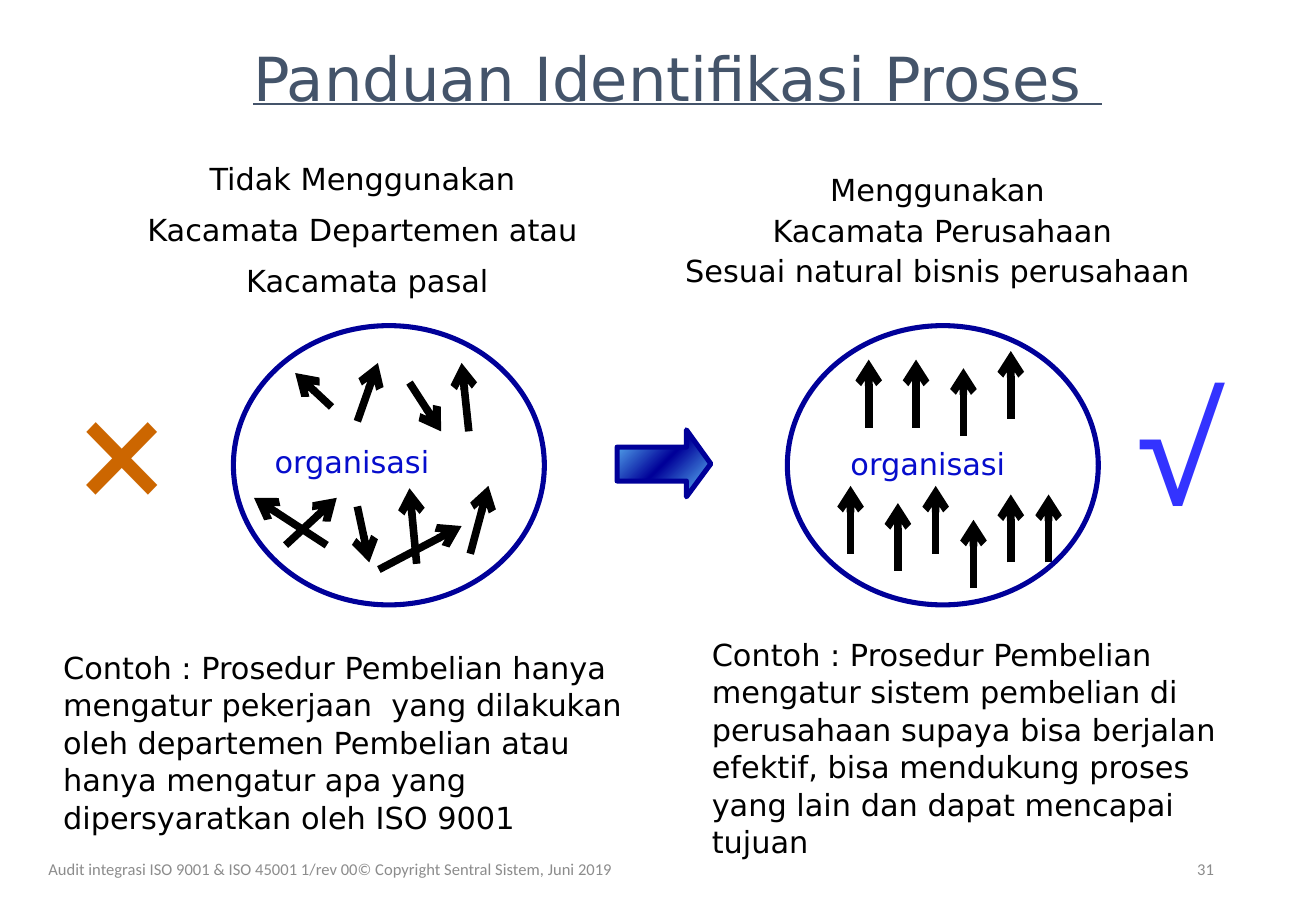
from copy import deepcopy

from lxml.etree import SubElement
from pptx import Presentation
from pptx.dml.color import RGBColor
from pptx.enum.shapes import MSO_CONNECTOR as Connector, MSO_SHAPE as Shape
from pptx.enum.text import MSO_ANCHOR as Anchor, MSO_AUTO_SIZE as AutoSize, PP_ALIGN as Align
from pptx.oxml.ns import qn
from pptx.util import Cm, Pt

BLACK, WHITE, NAVY, GREY = "000000", "FFFFFF", "000099", "8C8C8C"
BODY_FONT = "DejaVu Sans"

# Start x, start y, tip x, tip y in cm
SCATTERED = [
    (8.56, 8.0, 9.22, 9.02), (9.8, 9.02, 9.65, 7.59),
    (6.93, 8.51, 6.17, 7.8), (7.47, 8.81, 7.9, 7.59),
    (6.83, 11.4, 5.31, 10.41), (5.97, 11.4, 7.04, 10.41),
    (7.47, 10.59, 7.72, 11.76), (7.92, 11.91, 9.65, 11.0),
    (8.71, 11.79, 8.56, 10.21), (9.83, 11.58, 10.21, 10.16),
]

# Tip x, tip y in cm; all of these point straight up
ALIGNED_TIPS = [
    (18.16, 7.52), (19.15, 7.52), (20.14, 7.7), (21.13, 7.34),
    (17.78, 10.16), (18.77, 10.52), (19.56, 10.16),
    (20.35, 10.87), (21.13, 10.34), (21.92, 10.34),
]
ALIGNED_LENGTH = 1.42


def rgb(color):
    return RGBColor.from_string(color)


def format_with(target, values):
    for name, value in values.items():
        setattr(target, name, value)


def write(frame, lines, size, color, font=BODY_FONT, align=Align.LEFT, anchor=Anchor.MIDDLE,
          wrap=True, underline=None, gap=0, spacings=()):
    """Fill a text frame; spacings gives the line spacing of each paragraph."""
    format_with(frame, {"word_wrap": wrap, "auto_size": AutoSize.NONE,
                        "vertical_anchor": anchor})
    frame.text = "\n".join(lines)
    for paragraph in frame.paragraphs:
        paragraph.alignment = align
        format_with(paragraph.runs[0].font, {"name": font, "size": Pt(size),
                                             "underline": underline})
        paragraph.runs[0].font.color.rgb = rgb(color)
    for paragraph in frame.paragraphs[1:]:
        paragraph.space_before = Pt(gap)
    for paragraph, spacing in zip(frame.paragraphs, spacings):
        paragraph.line_spacing = spacing


def add_text(slide, box, lines, size, color, **options):
    textbox = slide.shapes.add_textbox(*map(Cm, box))
    write(textbox.text_frame, lines, size, color, **options)
    return textbox


def add_label(slide, box):
    label = add_text(slide, box, ["organisasi"], 18, "060DCC", anchor=Anchor.TOP, wrap=False)
    label.fill.solid()
    label.fill.fore_color.rgb = rgb(WHITE)
    margins = ("margin_left", "margin_top", "margin_right", "margin_bottom")
    format_with(label.text_frame, dict.fromkeys(margins, 0))


def outline(shape, color, width):
    shape.line.color.rgb = rgb(color)
    shape.line.width = Pt(width)


def add_arrow(slide, *ends):
    arrow = slide.shapes.add_connector(Connector.STRAIGHT, *map(Cm, ends))
    outline(arrow, BLACK, 4.5)
    SubElement(arrow.line._get_or_add_ln(), qn("a:tailEnd"), type="arrow")
    SubElement(arrow._element.spPr, qn("a:effectLst"))


def add_organisation(slide, left):
    circle = slide.shapes.add_shape(Shape.OVAL, *map(Cm, (left, 6.81, 6.5, 5.84)))
    circle.shadow.inherit = False
    circle.fill.background()
    outline(circle, NAVY, 3)


def add_transition(slide):
    """Block arrow leading from the wrong view to the right one."""
    corners = [(14.35, 8.99), (14.35, 9.35), (12.9, 9.35), (12.9, 10.06),
               (14.35, 10.06), (14.35, 10.39), (14.86, 9.7)]
    start, *rest = [(Cm(x), Cm(y)) for x, y in corners]
    builder = slide.shapes.build_freeform(*start)
    builder.add_line_segments(rest, close=True)
    transition = builder.convert_to_shape()
    transition.shadow.inherit = False
    outline(transition, NAVY, 3)

    transition.fill.gradient()
    transition.fill.gradient_angle = 315
    stop_list = transition._element.spPr.find(qn("a:gradFill")).find(qn("a:gsLst"))
    stop_list.insert(1, deepcopy(stop_list[0]))
    stops = zip(transition.fill.gradient_stops, (0, 0.5, 1), ("66CCFF", NAVY, "66CCFF"))
    for stop, position, color in stops:
        stop.position = position
        stop.color.rgb = rgb(color)


def main():
    deck = Presentation()
    deck.slide_width, deck.slide_height = Cm(27.51), Cm(19.05)
    slide = deck.slides.add_slide(deck.slide_layouts[5])

    title = slide.shapes.title
    format_with(title, {"left": Cm(3.63), "top": Cm(0.2), "width": Cm(21.06),
                        "height": Cm(2.82)})
    write(title.text_frame, ["Panduan Identifikasi Proses "], 36, "44546A",
          align=Align.CENTER, underline=True)

    heading = {"align": Align.CENTER, "anchor": Anchor.TOP, "gap": 9}
    add_text(slide, (2.03, 3.43, 11.3, 3.1),
             ["Tidak Menggunakan ", "Kacamata Departemen atau ", "Kacamata pasal"],
             18, BLACK, spacings=[0.7], **heading)
    add_text(slide, (14.0, 3.66, 11.4, 2.64),
             ["Menggunakan ", "Kacamata Perusahaan", "Sesuai natural bisnis perusahaan "],
             18, BLACK, spacings=[0.7] * 3, wrap=False, **heading)

    add_label(slide, (5.74, 9.27, 4.09, 0.84))
    add_label(slide, (17.78, 9.3, 4.45, 0.84))
    for ends in SCATTERED:
        add_arrow(slide, *ends)
    for x, tip in ALIGNED_TIPS:
        add_arrow(slide, x, tip + ALIGNED_LENGTH, x, tip)
    for left in (4.88, 16.46):
        add_organisation(slide, left)
    add_transition(slide)

    add_text(slide, (1.42, 8.0, 3.02, 2.67), ["×"], 96, "CC6600", font="Roboto")
    add_text(slide, (23.52, 8.0, 3.02, 2.67), ["√"], 88, "3333FF", font="Open Sans")

    add_text(slide, (1.07, 14.17, 13.03, 2.67),
             ["Contoh : Prosedur Pembelian hanya mengatur pekerjaan  yang dilakukan oleh "
              "departemen Pembelian atau hanya mengatur apa yang dipersyaratkan oleh ISO 9001"],
             18, BLACK, spacings=[1.03])
    add_text(slide, (14.63, 13.13, 12.04, 5.0),
             ["Contoh : Prosedur Pembelian mengatur sistem pembelian di perusahaan supaya bisa "
              "berjalan efektif, bisa mendukung proses yang lain dan dapat mencapai tujuan"],
             18, BLACK, spacings=[1.03])

    add_text(slide, (0.76, 17.65, 17.65, 1.02),
             ["Audit integrasi ISO 9001 & ISO 45001 1/rev 00© Copyright Sentral Sistem, Juni 2019"],
             9.8, GREY, font="Calibri")
    add_text(slide, (19.43, 17.65, 6.2, 1.02), ["31"], 9.8, GREY, font="Calibri",
             align=Align.RIGHT)

    deck.save("out.pptx")


if __name__ == "__main__":
    main()
